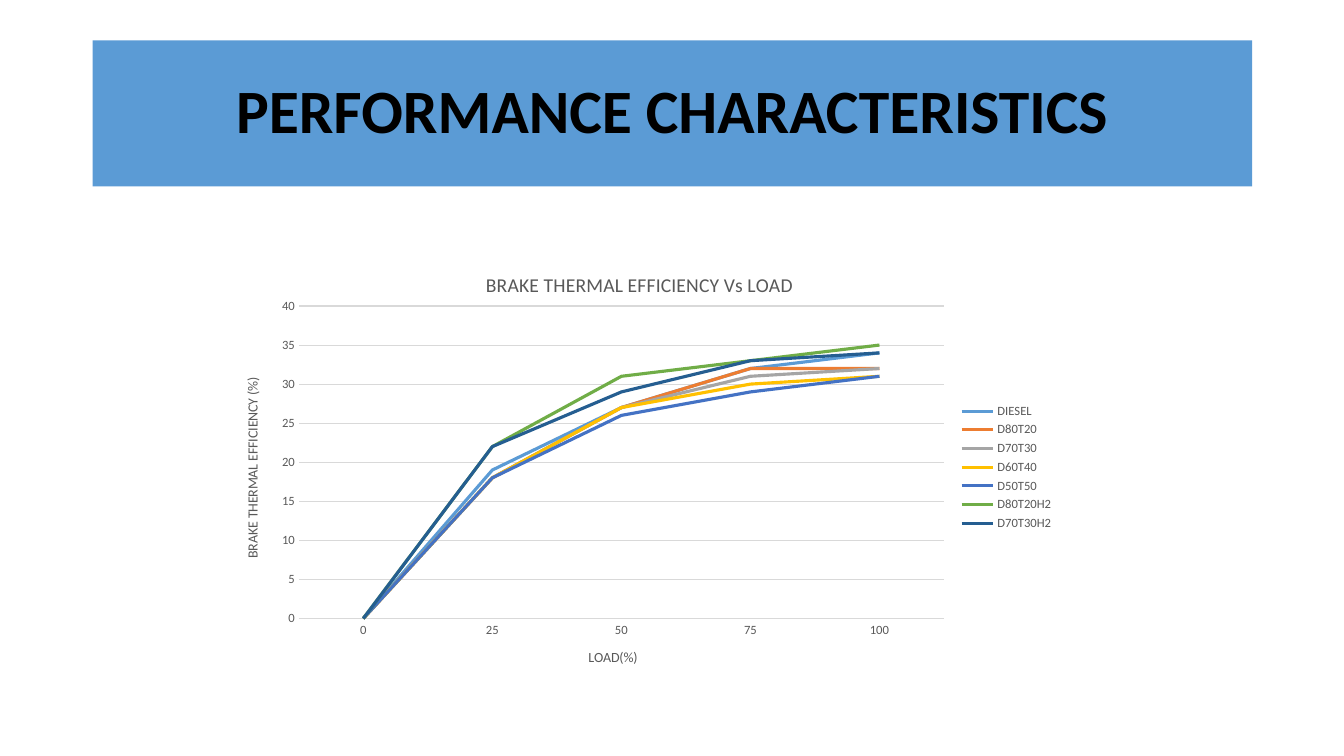
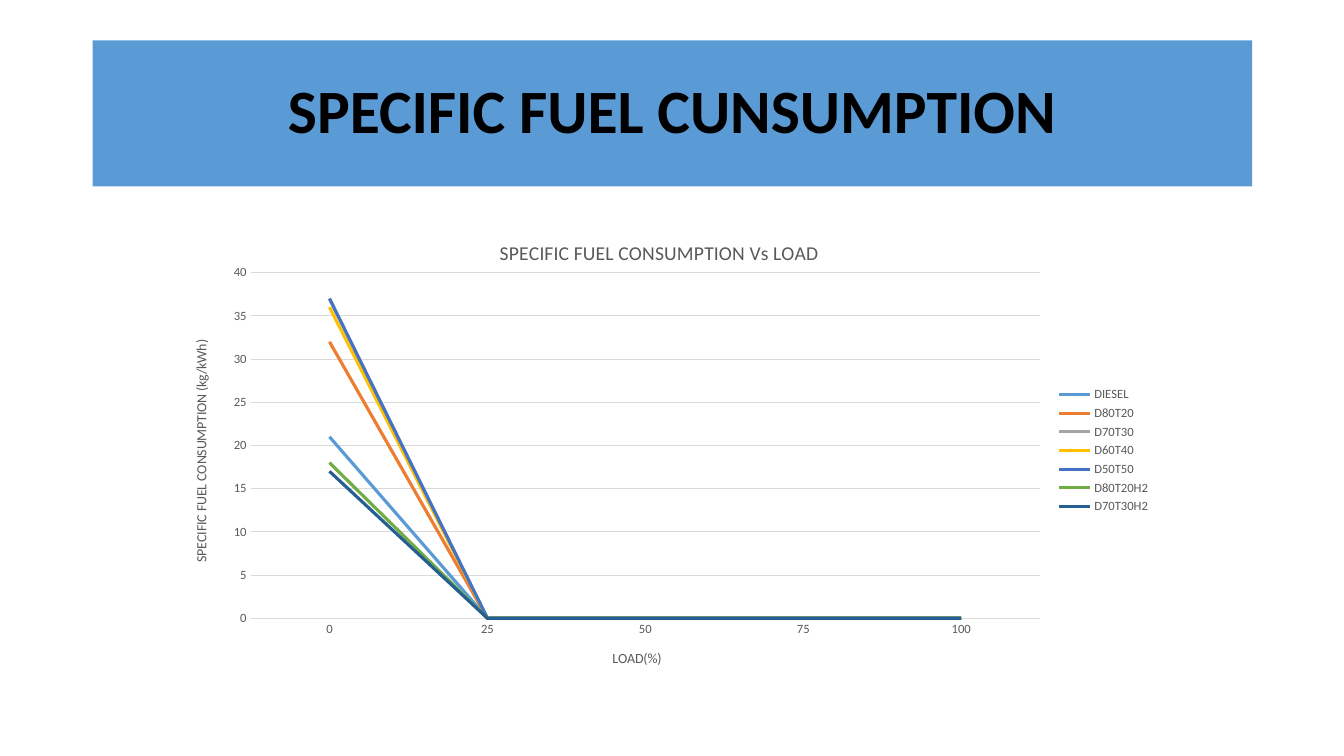
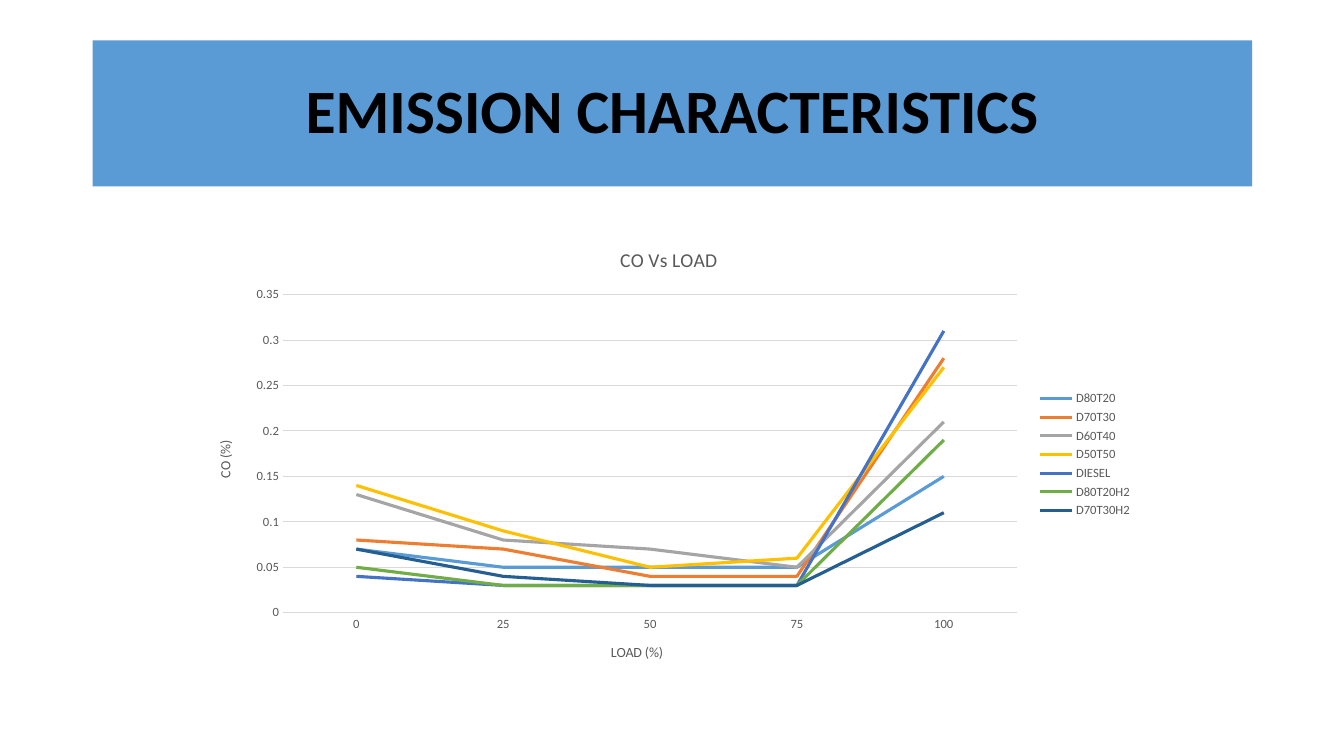
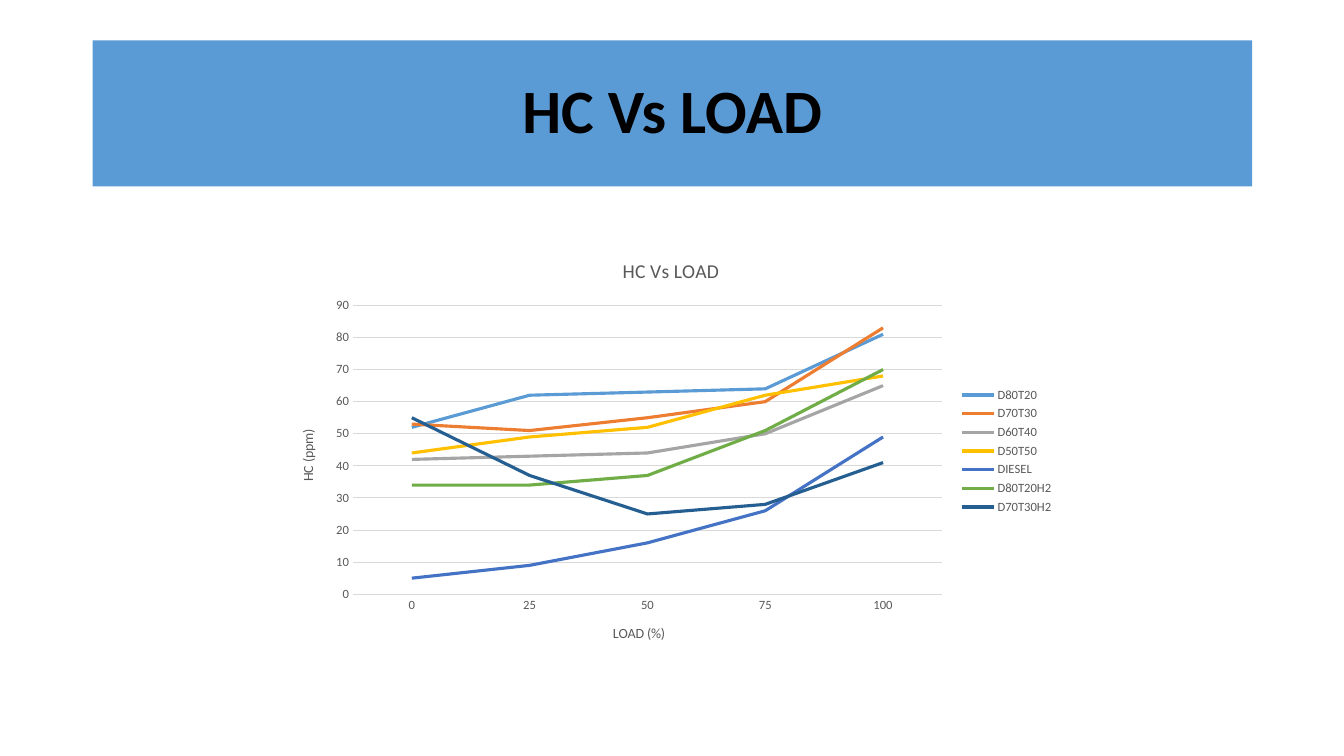
from dataclasses import dataclass

from lxml import etree
from pptx import Presentation
from pptx.chart.data import CategoryChartData
from pptx.dml.color import RGBColor
from pptx.enum.chart import XL_CHART_TYPE, XL_LEGEND_POSITION, XL_TICK_MARK
from pptx.enum.text import MSO_ANCHOR, PP_ALIGN
from pptx.oxml.ns import qn
from pptx.util import Inches, Pt

LINE_CHART = XL_CHART_TYPE.LINE
LEGEND_RIGHT = XL_LEGEND_POSITION.RIGHT
NO_TICK = XL_TICK_MARK.NONE
MIDDLE = MSO_ANCHOR.MIDDLE
CENTER = PP_ALIGN.CENTER
TITLE_ONLY = 5


@dataclass(frozen=True)
class Theme:
    font: str = "Calibri"
    band: str = "5B9BD5"
    ink: str = "000000"
    muted: str = "595959"
    grid: str = "D9D9D9"
    series: tuple = ("5B9BD5", "ED7D31", "A5A5A5", "FFC000",
                     "4472C4", "70AD47", "255E91")
    heading_size: float = 44
    chart_title_size: float = 14
    axis_title_size: float = 10
    label_size: float = 9
    curve_width: float = 2.25
    hairline: float = 0.75


THEME = Theme()
SLIDE_WIDTH, SLIDE_HEIGHT = Inches(13.33), Inches(7.5)

# Boxes are left, top, width, height in per cent of the slide;
# a plot box is in per cent of its chart.
HEADING_BOX = (6.9, 5.33, 86.27, 19.33)

# Content
LOADS = ("0", "25", "50", "75", "100")
SLIDES = [
    {
        "heading": "PERFORMANCE CHARACTERISTICS",
        "title": "BRAKE THERMAL EFFICIENCY Vs LOAD",
        "load_title": "LOAD(%)",
        "value_title": "BRAKE THERMAL EFFICIENCY (%)",
        "box": (16.05, 33.6, 63.09, 56.4),
        "plot": (9.8, 12.2, 76.1, 73.3),
        "scale": (40, 5),
        "fuels": {
            "DIESEL": (0, 19, 27, 32, 34),
            "D80T20": (0, 18, 27, 32, 32),
            "D70T30": (0, 18, 27, 31, 32),
            "D60T40": (0, 18, 27, 30, 31),
            "D50T50": (0, 18, 26, 29, 31),
            "D80T20H2": (0, 22, 31, 33, 35),
            "D70T30H2": (0, 22, 29, 33, 34),
        },
    },
    {
        "heading": "SPECIFIC FUEL CUNSUMPTION",
        "title": "SPECIFIC FUEL CONSUMPTION Vs LOAD",
        "load_title": "LOAD(%)",
        "value_title": "SPECIFIC FUEL CONSUMPTION (kg/kWh)",
        "box": (11.78, 29.2, 74.57, 60.8),
        "plot": (9.2, 11.3, 78.8, 75.2),
        "scale": (40, 5),
        "fuels": {
            "DIESEL": (21, 0, 0, 0, 0),
            "D80T20": (32, 0, 0, 0, 0),
            "D70T30": (37, 0, 0, 0, 0),
            "D60T40": (36, 0, 0, 0, 0),
            "D50T50": (37, 0, 0, 0, 0),
            "D80T20H2": (18, 0, 0, 0, 0),
            "D70T30H2": (17, 0, 0, 0, 0),
        },
    },
    {
        "heading": "EMISSION CHARACTERISTICS",
        "title": "CO Vs LOAD",
        "load_title": "LOAD (%)",
        "value_title": "CO (%)",
        "box": (14.55, 30.13, 70.44, 60),
        "plot": None,
        "scale": (0.35, 0.05),
        "fuels": {
            "D80T20": (0.07, 0.05, 0.05, 0.05, 0.15),
            "D70T30": (0.08, 0.07, 0.04, 0.04, 0.28),
            "D60T40": (0.13, 0.08, 0.07, 0.05, 0.21),
            "D50T50": (0.14, 0.09, 0.05, 0.06, 0.27),
            "DIESEL": (0.04, 0.03, 0.03, 0.03, 0.31),
            "D80T20H2": (0.05, 0.03, 0.03, 0.03, 0.19),
            "D70T30H2": (0.07, 0.04, 0.03, 0.03, 0.11),
        },
    },
    {
        "heading": "HC Vs LOAD",
        "title": "HC Vs LOAD",
        "load_title": "LOAD (%)",
        "value_title": "HC (ppm)",
        "box": (20.71, 31.73, 58.44, 55.87),
        "plot": None,
        "scale": (90, 10),
        "fuels": {
            "D80T20": (52, 62, 63, 64, 81),
            "D70T30": (53, 51, 55, 60, 83),
            "D60T40": (42, 43, 44, 50, 65),
            "D50T50": (44, 49, 52, 62, 68),
            "DIESEL": (5, 9, 16, 26, 49),
            "D80T20H2": (34, 34, 37, 51, 70),
            "D70T30H2": (55, 37, 25, 28, 41),
        },
    },
]


def place(box):
    """Turn per cent of the slide into lengths."""
    sides = (SLIDE_WIDTH, SLIDE_HEIGHT) * 2
    return [round(side * share / 100) for side, share in zip(sides, box)]


def style_font(font, size, color=THEME.muted, bold=False):
    font.name, font.size, font.bold = THEME.font, Pt(size), bold
    font.color.rgb = RGBColor.from_string(color)


def write(frame, text, size, color=THEME.muted, bold=False, spacing=None):
    paragraph = frame.paragraphs[0]
    paragraph.alignment = CENTER
    paragraph.line_spacing = spacing
    run = paragraph.add_run()
    run.text = text
    style_font(run.font, size, color, bold)


def style_line(line, color, width):
    line.color.rgb = RGBColor.from_string(color)
    line.width = Pt(width)


def add_heading(slide, text):
    heading = slide.shapes.title
    heading.left, heading.top, heading.width, heading.height = place(HEADING_BOX)
    heading.fill.solid()
    heading.fill.fore_color.rgb = RGBColor.from_string(THEME.band)
    heading.text_frame.vertical_anchor = MIDDLE
    heading.text_frame.word_wrap = True
    write(heading.text_frame, text, THEME.heading_size, THEME.ink,
          bold=True, spacing=0.9)


def fix_plot(chart, box):
    """Pin the inner plot area to a box within the chart."""
    plot_area = chart.element.find(".//" + qn("c:plotArea"))
    for layout in plot_area.findall(qn("c:layout")):
        plot_area.remove(layout)
    layout = etree.Element(qn("c:layout"))
    manual = etree.SubElement(layout, qn("c:manualLayout"))
    settings = [("layoutTarget", "inner"), ("xMode", "edge"), ("yMode", "edge")]
    settings += [(key, f"{share / 100:.3f}") for key, share in zip("xywh", box)]
    for key, value in settings:
        etree.SubElement(manual, qn("c:" + key)).set("val", value)
    plot_area.insert(0, layout)


def style_axis(axis, title):
    axis.has_title = True
    write(axis.axis_title.text_frame, title, THEME.axis_title_size)
    axis.major_tick_mark = axis.minor_tick_mark = NO_TICK
    style_font(axis.tick_labels.font, THEME.label_size)


def add_load_chart(slide, content):
    # Data
    chart_data = CategoryChartData()
    chart_data.categories = LOADS
    for fuel, values in content["fuels"].items():
        chart_data.add_series(fuel, values)
    chart = slide.shapes.add_chart(
        LINE_CHART, *place(content["box"]), chart_data).chart
    style_font(chart.font, THEME.axis_title_size, THEME.ink)

    # Title and legend
    chart.has_title = True
    write(chart.chart_title.text_frame, content["title"], THEME.chart_title_size)
    chart.has_legend = True
    chart.legend.position = LEGEND_RIGHT
    chart.legend.include_in_layout = False
    style_font(chart.legend.font, THEME.label_size)

    # Axes
    loads, values = chart.category_axis, chart.value_axis
    style_axis(loads, content["load_title"])
    style_axis(values, content["value_title"])
    style_line(loads.format.line, THEME.grid, THEME.hairline)
    values.format.line.fill.background()
    values.has_major_gridlines = True
    style_line(values.major_gridlines.format.line, THEME.grid, THEME.hairline)
    values.minimum_scale = 0
    values.maximum_scale, values.major_unit = content["scale"]

    # Curves
    chart.plots[0].vary_by_categories = False
    for curve, color in zip(chart.plots[0].series, THEME.series):
        curve.smooth = False
        style_line(curve.format.line, color, THEME.curve_width)
    if content["plot"]:
        fix_plot(chart, content["plot"])


def main():
    deck = Presentation()
    deck.slide_width, deck.slide_height = SLIDE_WIDTH, SLIDE_HEIGHT
    for content in SLIDES:
        slide = deck.slides.add_slide(deck.slide_layouts[TITLE_ONLY])
        add_heading(slide, content["heading"])
        add_load_chart(slide, content)
    deck.save("out.pptx")


if __name__ == "__main__":
    main()
